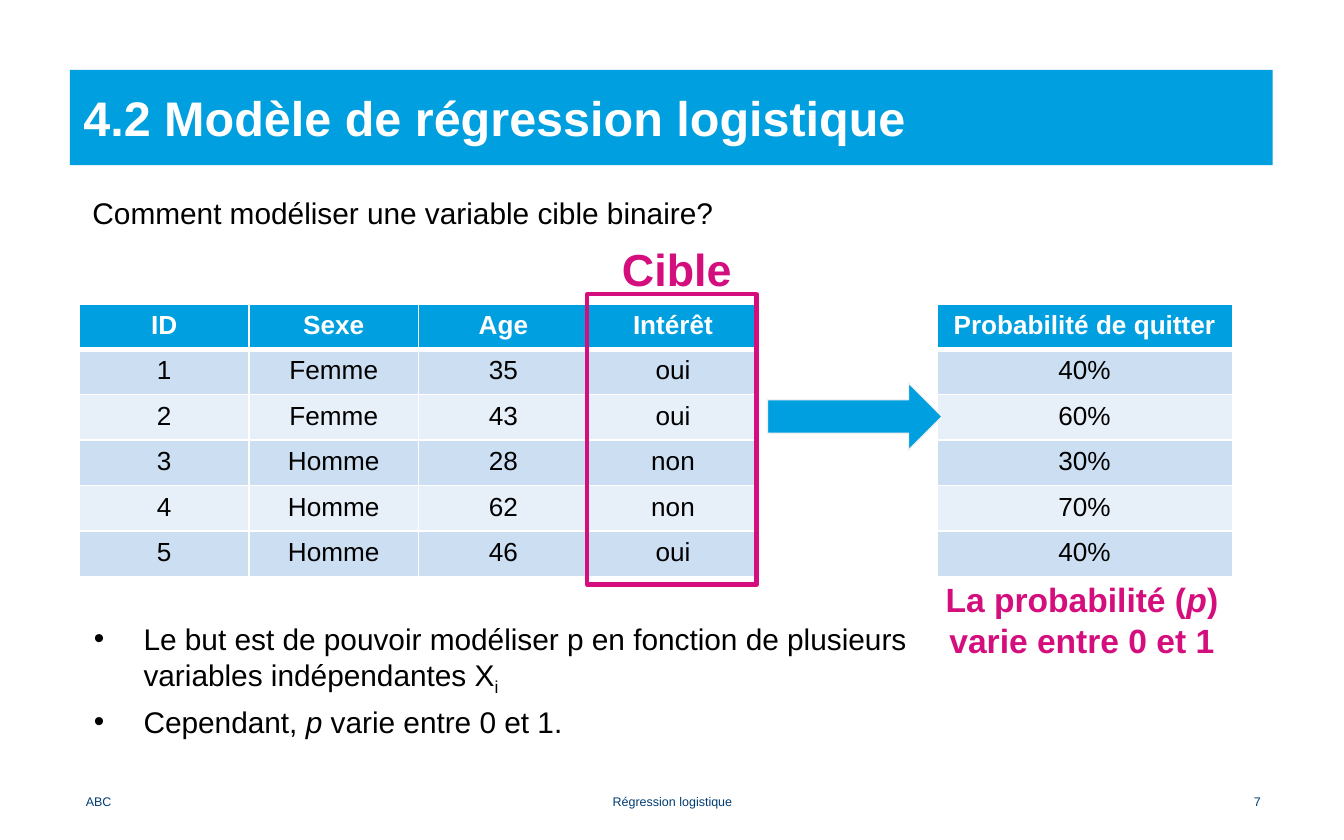
from dataclasses import dataclass

from lxml import etree
from pptx import Presentation
from pptx import util as u
from pptx.dml import color
from pptx.enum import shapes, text
from pptx.oxml import ns

PX = 9144
FONT = "Arial"
COLORS = {
    "blue": "009FDF",
    "navy": "003C71",
    "pink": "D40F7D",
    "band": "CCDFF2",
    "pale": "E7EFF9",
    "edge": "EFF0F0",
    "white": "FFFFFF",
    "black": "000000",
}


@dataclass(frozen=True)
class Box:
    left: int
    top: int
    width: int
    height: int

    def emu(self) -> tuple[int, ...]:
        return tuple(px * PX for px in (self.left, self.top, self.width, self.height))


@dataclass(frozen=True)
class Grid:
    box: Box
    rows: list[list[str]]


@dataclass(frozen=True)
class Footer:
    box: Box
    words: str
    align: text.PP_ALIGN


@dataclass(frozen=True)
class Span:
    words: str
    italic: bool = False
    baseline: int = 0


LEFT, CENTER, RIGHT = text.PP_ALIGN.LEFT, text.PP_ALIGN.CENTER, text.PP_ALIGN.RIGHT

GRIDS = [
    Grid(Box(59, 226, 505, 203), [
        ["ID", "Sexe", "Age", "Intérêt"],
        ["1", "Femme", "35", "oui"],
        ["2", "Femme", "43", "oui"],
        ["3", "Homme", "28", "non"],
        ["4", "Homme", "62", "non"],
        ["5", "Homme", "46", "oui"],
    ]),
    Grid(Box(697, 226, 220, 203), [
        ["Probabilité de quitter"], ["40%"], ["60%"], ["30%"], ["70%"], ["40%"],
    ]),
]
FOOTERS = [
    Footer(Box(54, 589, 233, 15), "ABC", LEFT),
    Footer(Box(342, 589, 317, 15), "Régression logistique", CENTER),
    Footer(Box(897, 589, 51, 15), "7", RIGHT),
]
GOALS = [
    [Span("Le but est de pouvoir modéliser p en fonction de plusieurs "
          "variables indépendantes X"), Span("i", baseline=-25000)],
    [Span("Cependant, "), Span("p", italic=True), Span(" varie entre 0 et 1.")],
]
CLAIM = [Span("La probabilité ("), Span("p", italic=True), Span(") varie entre 0 et 1")]


def rgb(name: str) -> color.RGBColor:
    return color.RGBColor.from_string(COLORS[name])


def write(para, spans: str | list[Span], *, size: float, ink: str = "black",
          bold: bool = False, align=LEFT, before: float = 0) -> None:
    para.alignment = align
    para.space_before = u.Pt(before)
    for item in [Span(spans)] if isinstance(spans, str) else spans:
        span = para.add_run()
        span.text = item.words
        span.font.name = FONT
        span.font.size = u.Pt(size)
        span.font.bold = bold
        span.font.italic = item.italic
        span.font.color.rgb = rgb(ink)
        if item.baseline:
            span.font._element.set("baseline", str(item.baseline))


def add_text(page, box: Box, paragraphs: list, *, wrap: bool = True,
             grow: bool = False, anchor=text.MSO_ANCHOR.TOP,
             bullet: bool = False, **style) -> None:
    frame = page.shapes.add_textbox(*box.emu()).text_frame
    frame.word_wrap = wrap
    if grow:
        frame.auto_size = text.MSO_AUTO_SIZE.SHAPE_TO_FIT_TEXT
    frame.vertical_anchor = anchor
    for index, spans in enumerate(paragraphs):
        para = frame.add_paragraph() if index else frame.paragraphs[0]
        write(para, spans, **style)
        if bullet:
            add_bullet(para)


def add_bullet(para) -> None:
    properties = para._p.get_or_add_pPr()
    properties.set("marL", str(38 * PX))
    properties.set("indent", str(-37 * PX))
    etree.SubElement(properties, ns.qn("a:buFont")).set("typeface", FONT)
    etree.SubElement(properties, ns.qn("a:buChar")).set("char", "•")


def add_borders(cell, widths: dict[str, float]) -> None:
    properties = cell._tc.get_or_add_tcPr()
    for index, (side, width) in enumerate(widths.items()):
        line = etree.Element(ns.qn(f"a:{side}"), w=str(int(u.Pt(width))))
        fill = etree.SubElement(line, ns.qn("a:solidFill"))
        etree.SubElement(fill, ns.qn("a:srgbClr")).set("val", COLORS["white"])
        properties.insert(index, line)


def add_grid(page, grid: Grid) -> None:
    row_count, column_count = len(grid.rows), len(grid.rows[0])
    table = page.shapes.add_table(row_count, column_count, *grid.box.emu()).table
    for row_index, row in enumerate(grid.rows):
        header = row_index == 0
        fill = "blue" if header else "band" if row_index % 2 else "pale"
        for column_index, words in enumerate(row):
            cell = table.cell(row_index, column_index)
            cell.margin_left = cell.margin_right = PX
            cell.margin_top = cell.margin_bottom = 5 * PX
            cell.fill.solid()
            cell.fill.fore_color.rgb = rgb(fill)
            write(cell.text_frame.paragraphs[0], words, size=14, bold=header,
                  ink="white" if header else "black", align=CENTER)
            add_borders(cell, {"lnL": 0.96, "lnR": 0.96,
                               "lnT": 3 if row_index == 1 else 0.96,
                               "lnB": 3 if header else 0.96})


def add_figure(page, kind, box: Box, *, fill: str | None = None,
               line: str, width: float) -> None:
    figure = page.shapes.add_shape(kind, *box.emu())
    figure.shadow.inherit = False
    if fill:
        figure.fill.solid()
        figure.fill.fore_color.rgb = rgb(fill)
    else:
        figure.fill.background()
    figure.line.color.rgb = rgb(line)
    figure.line.width = u.Pt(width)


def add_title(page, box: Box, words: str) -> None:
    title = page.shapes.title
    title.left, title.top, title.width, title.height = box.emu()
    title.fill.solid()
    title.fill.fore_color.rgb = rgb("blue")
    frame = title.text_frame
    frame.auto_size = text.MSO_AUTO_SIZE.NONE
    frame.vertical_anchor = text.MSO_ANCHOR.MIDDLE
    write(frame.paragraphs[0], words, size=26, ink="white", bold=True)


def main() -> None:
    deck = Presentation()
    deck.slide_width, deck.slide_height = 1000 * PX, 625 * PX
    page = deck.slides.add_slide(deck.slide_layouts[5])

    add_title(page, Box(52, 52, 895, 71), "4.2 Modèle de régression logistique")
    for grid in GRIDS:
        add_grid(page, grid)
    for footer in FOOTERS:
        add_text(page, footer.box, [footer.words], size=6.7, ink="navy",
                 align=footer.align, anchor=text.MSO_ANCHOR.MIDDLE)
    add_text(page, Box(453, 175, 103, 50), ["Cible"], wrap=False, grow=True,
             size=24, ink="pink", bold=True)
    add_figure(page, shapes.MSO_SHAPE.RECTANGLE, Box(437, 219, 126, 216),
               line="pink", width=2.25)
    add_figure(page, shapes.MSO_SHAPE.RIGHT_ARROW, Box(571, 285, 130, 50),
               fill="blue", line="edge", width=0.75)
    add_text(page, Box(59, 457, 630, 98), GOALS, bullet=True, size=16, before=3.2)
    add_text(page, Box(59, 140, 874, 114),
             ["Comment modéliser une variable cible binaire?"], size=16, before=3.2)
    add_text(page, Box(691, 426, 228, 70), [CLAIM], grow=True, size=18, ink="pink",
             bold=True, align=CENTER)
    deck.save("out.pptx")


if __name__ == "__main__":
    main()
